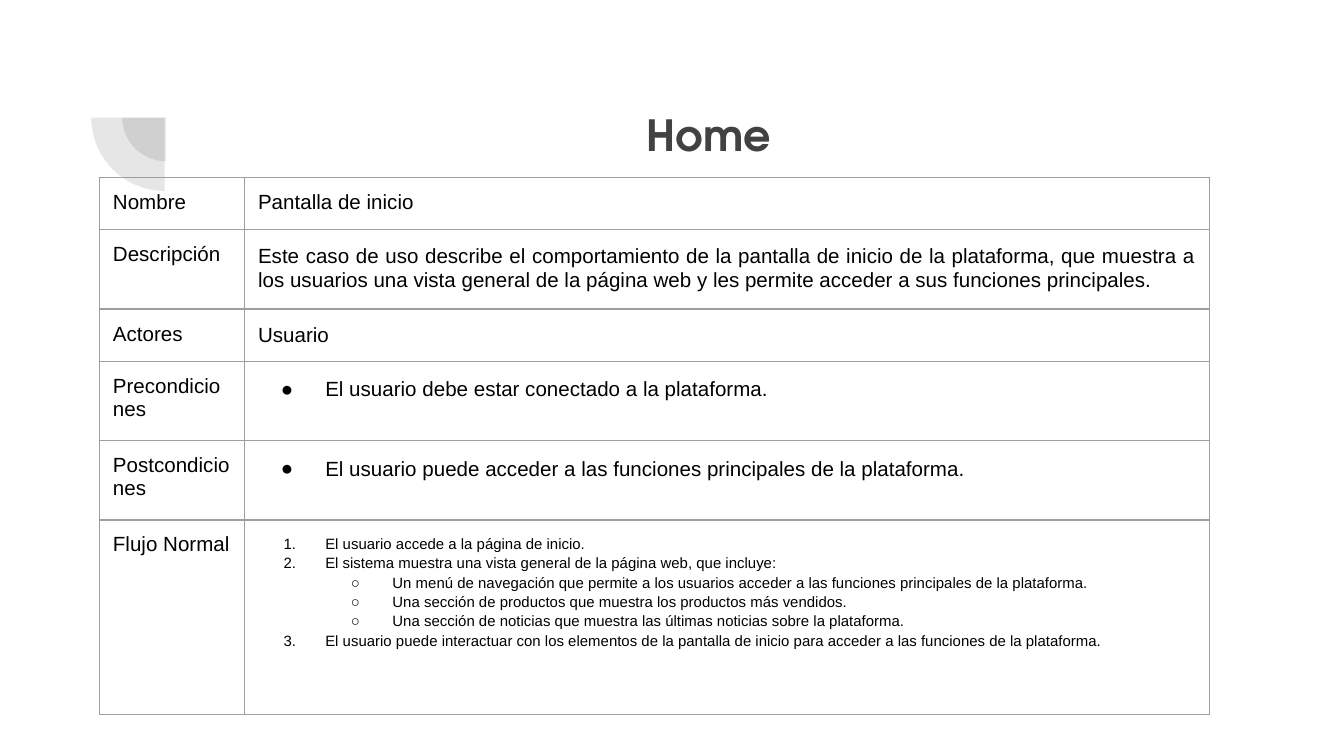
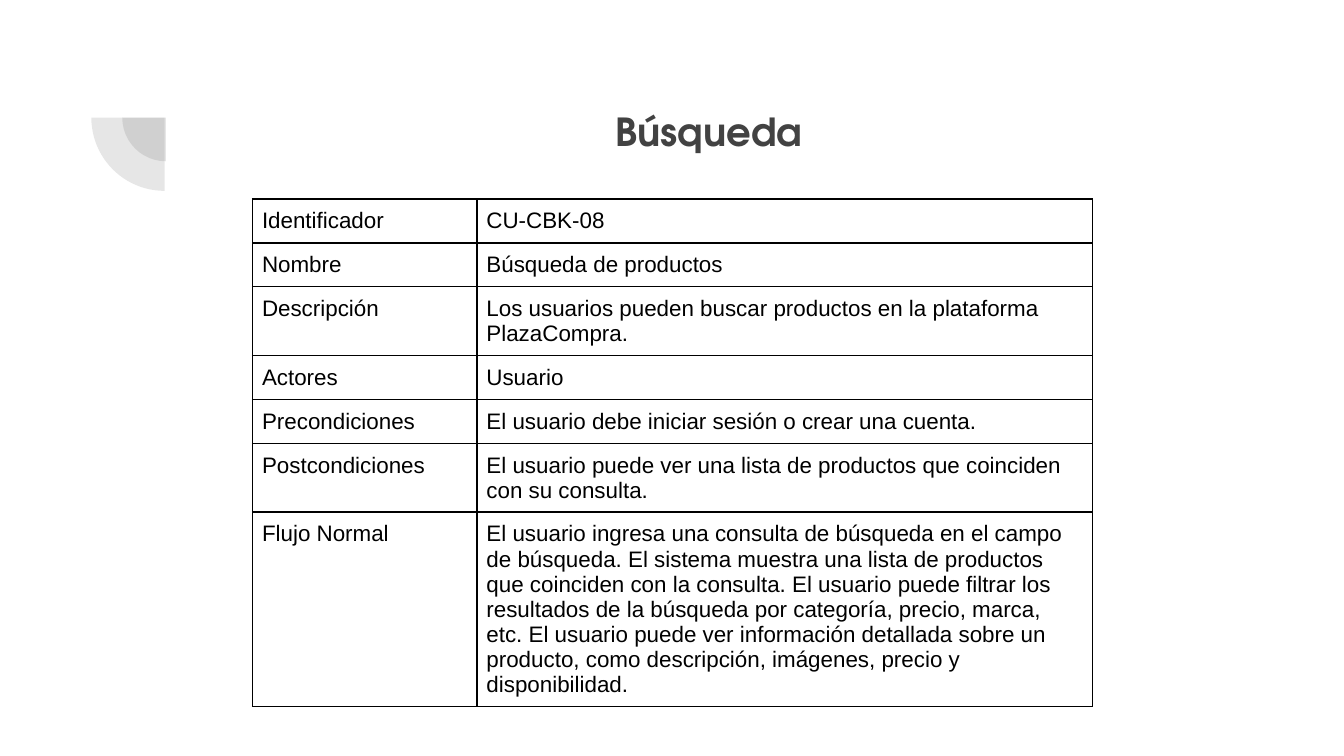
from dataclasses import dataclass

from lxml import etree
from pptx import Presentation, slide as sl, table as tb
from pptx.dml.color import RGBColor
from pptx.enum import shapes, text
from pptx.oxml import ns
from pptx.text import text as tx
from pptx.util import Inches, Pt

INK = RGBColor(0x42, 0x42, 0x42)
BLACK = RGBColor(0, 0, 0)
GREY = RGBColor(0x9E, 0x9E, 0x9E)
HEAD = "TeX Gyre Adventor"
BODY = "Arial"
JUST = text.PP_ALIGN.JUSTIFY


@dataclass(frozen=True)
class Arc:
    left: float
    top: float
    side: float


@dataclass(frozen=True)
class Item:
    """A paragraph; mark is a bullet character, or "1." for a number."""
    words: str
    mark: str = ""
    level: int = 0
    size: float = 0
    hang: float = 0.33
    lead: float = 0
    before: float = 0
    after: float = 0
    align: text.PP_ALIGN | None = None


@dataclass(frozen=True)
class Row:
    label: str
    items: tuple[Item, ...]
    height: float = 0.01


@dataclass(frozen=True)
class Grid:
    left: float
    top: float
    cols: tuple[float, float]
    rows: tuple[Row, ...]
    size: float
    inset: float
    line: RGBColor
    weight: float


@dataclass(frozen=True)
class Page:
    title: str
    size: float
    after: float
    grid: Grid


def prose(words: str) -> tuple[Item, ...]:
    return (Item(words, lead=1.07, after=12, align=JUST),)


def dot(words: str) -> tuple[Item, ...]:
    return (Item(words, "●", lead=1.15, before=12),)


def step(words: str, before: float = 0) -> Item:
    return Item(words, "1.", size=8, hang=0.31, lead=1.15, before=before)


def sub(words: str) -> Item:
    return Item(words, "○", level=1, size=8, hang=0.31, lead=1.15)


ARCS = (Arc(0.91, 0.55, 0.65), Arc(0.68, 0.33, 1.09))

HOME = Grid(0.74, 1.32, (1.08, 7.18), (
    Row("Nombre", (Item("Pantalla de inicio"),), 0.39),
    Row("Descripción", prose(
        "Este caso de uso describe el comportamiento de la pantalla de inicio "
        "de la plataforma, que muestra a los usuarios una vista general de la "
        "página web y les permite acceder a sus funciones principales."), 0.59),
    Row("Actores", prose("Usuario"), 0.39),
    Row("Precondiciones",
        dot("El usuario debe estar conectado a la plataforma."), 0.59),
    Row("Postcondiciones", dot(
        "El usuario puede acceder a las funciones principales de la "
        "plataforma."), 0.59),
    Row("Flujo Normal", (
        step("El usuario accede a la página de inicio.", before=12),
        step("El sistema muestra una vista general de la página web, "
             "que incluye:"),
        sub("Un menú de navegación que permite a los usuarios acceder a las "
            "funciones principales de la plataforma."),
        sub("Una sección de productos que muestra los productos más "
            "vendidos."),
        sub("Una sección de noticias que muestra las últimas noticias sobre "
            "la plataforma."),
        step("El usuario puede interactuar con los elementos de la pantalla "
             "de inicio para acceder a las funciones de la plataforma."),
    ), 1.45),
), size=11, inset=0.1, line=GREY, weight=0.75)

FIND = Grid(1.88, 1.48, (1.67, 4.58), tuple(
    Row(label, (Item(words),)) for label, words in (
        ("Identificador", "CU-CBK-08"),
        ("Nombre", "Búsqueda de productos"),
        ("Descripción", "Los usuarios pueden buscar productos en la "
                        "plataforma PlazaCompra."),
        ("Actores", "Usuario"),
        ("Precondiciones", "El usuario debe iniciar sesión o crear una "
                           "cuenta."),
        ("Postcondiciones", "El usuario puede ver una lista de productos que "
                            "coinciden con su consulta."),
        ("Flujo Normal",
         "El usuario ingresa una consulta de búsqueda en el campo de "
         "búsqueda. El sistema muestra una lista de productos que coinciden "
         "con la consulta. El usuario puede filtrar los resultados de la "
         "búsqueda por categoría, precio, marca, etc. El usuario puede ver "
         "información detallada sobre un producto, como descripción, "
         "imágenes, precio y disponibilidad."),
    )), size=12, inset=0.07, line=BLACK, weight=1)

PAGES = (Page("Home", 23, 12, HOME), Page("Búsqueda", 20.7, 0, FIND))


def node(root: etree._Element, tag: str, **attrs: str) -> etree._Element:
    return etree.SubElement(root, ns.qn(tag), attrs)


def add_arcs(slide: sl.Slide) -> None:
    """Put the two nested quarter discs on the layout of the slide."""
    for arc in ARCS:
        pie = slide.shapes.add_shape(
            shapes.MSO_SHAPE.PIE, Inches(arc.left), Inches(arc.top),
            Inches(arc.side), Inches(arc.side))
        pie.adjustments[0], pie.adjustments[1] = 108, 162
        pie.rotation = 270
        pie.shadow.inherit = False
        pie.line.fill.background()
        pie.fill.solid()
        pie.fill.fore_color.rgb = INK
        tone = next(pie.element.iter(ns.qn("a:srgbClr")))
        node(tone, "a:alpha", val="13000")
        slide.slide_layout.shapes.element.append(pie.element)


def add_title(slide: sl.Slide, page: Page) -> None:
    title = slide.shapes.title
    title.left, title.top = Inches(1.43), Inches(0.65)
    title.width, title.height = Inches(7.69), Inches(0.61)
    frame = title.text_frame
    frame.text = page.title
    frame.word_wrap = True
    frame.auto_size = text.MSO_AUTO_SIZE.NONE
    frame.vertical_anchor = text.MSO_ANCHOR.TOP
    frame.margin_left = frame.margin_right = Inches(0.1)
    frame.margin_top = frame.margin_bottom = Inches(0.1)
    para = frame.paragraphs[0]
    para.alignment = text.PP_ALIGN.CENTER
    para.line_spacing = 1.15
    para.space_after = Pt(page.after)
    font = para.runs[0].font
    font.name, font.size, font.bold = HEAD, Pt(page.size), True
    font.color.rgb = INK


def add_mark(para: tx._Paragraph, item: Item) -> None:
    """Give the paragraph its indent and its bullet or number."""
    props = para._p.get_or_add_pPr()
    props.set("marL", str(Inches(0.5 * (item.level + 1))))
    props.set("indent", str(-Inches(item.hang)))
    node(node(props, "a:buClr"), "a:srgbClr", val=str(BLACK))
    node(props, "a:buFont", typeface=BODY)
    if item.mark == "1.":
        node(props, "a:buAutoNum", type="arabicPeriod")
    else:
        node(props, "a:buChar", char=item.mark)


def add_edges(cell: tb._Cell, grid: Grid) -> None:
    props = cell._tc.get_or_add_tcPr()
    for spot, side in enumerate("LRTB"):
        line = node(props, f"a:ln{side}", w=str(Pt(grid.weight)))
        node(node(line, "a:solidFill"), "a:srgbClr", val=str(grid.line))
        props.insert(spot, line)


def fill_cell(cell: tb._Cell, items: tuple[Item, ...], grid: Grid) -> None:
    cell.fill.background()
    add_edges(cell, grid)
    cell.margin_left = cell.margin_right = Inches(grid.inset)
    cell.margin_top = cell.margin_bottom = Inches(grid.inset)
    frame = cell.text_frame
    frame.text = "\n".join(item.words for item in items)
    for para, item in zip(frame.paragraphs, items):
        para.level = item.level
        para.alignment = item.align
        if item.lead:
            para.line_spacing = item.lead
        para.space_before = Pt(item.before)
        para.space_after = Pt(item.after)
        if item.mark:
            add_mark(para, item)
        font = para.runs[0].font
        font.name, font.size = BODY, Pt(item.size or grid.size)
        font.color.rgb = BLACK


def add_grid(slide: sl.Slide, grid: Grid) -> None:
    high = sum(row.height for row in grid.rows)
    table = slide.shapes.add_table(
        len(grid.rows), len(grid.cols), Inches(grid.left), Inches(grid.top),
        Inches(sum(grid.cols)), Inches(high)).table
    table.first_row = table.horz_banding = False
    for col, width in zip(table.columns, grid.cols):
        col.width = Inches(width)
    for spot, row in enumerate(grid.rows):
        table.rows[spot].height = Inches(row.height)
        fill_cell(table.cell(spot, 0), (Item(row.label),), grid)
        fill_cell(table.cell(spot, 1), row.items, grid)


def main() -> None:
    deck = Presentation()
    deck.slide_width = Inches(10)
    deck.slide_height = deck.slide_width * 9 // 16
    layout = deck.slide_layouts.get_by_name("Title Only")
    for spot, page in enumerate(PAGES):
        slide = deck.slides.add_slide(layout)
        if spot == 0:
            add_arcs(slide)
        add_title(slide, page)
        add_grid(slide, page.grid)
    deck.save("out.pptx")


if __name__ == "__main__":
    main()
